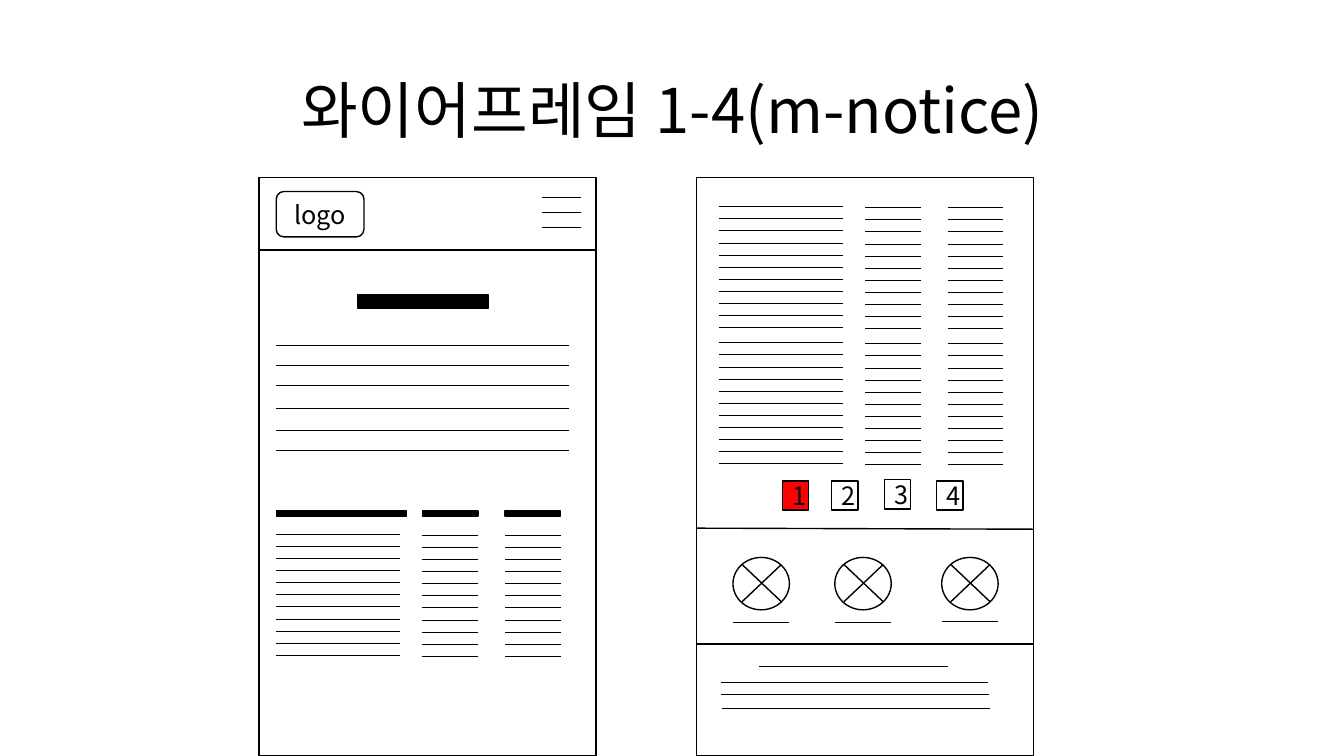
from lxml.etree import SubElement
from pptx import Presentation
from pptx.dml.color import RGBColor
from pptx.enum.shapes import MSO_CONNECTOR as CONN, MSO_SHAPE as SHAPE
from pptx.enum.text import MSO_ANCHOR as ANCHOR, PP_ALIGN as ALIGN
from pptx.oxml.ns import qn
from pptx.util import Inches, Pt

# Content, lengths in inches
FONT = "Noto Sans CJK KR"
BLACK, WHITE, RED = "000000", "FFFFFF", "FF0000"
TITLE = "와이어프레임 1-4(m-notice)"
TOP, WIDE, HIGH = 1.76, 3.34, 5.74
LEFT, RIGHT = 2.57, 6.91
MENU = [1.96, 2.11, 2.26]
INTRO = [3.43, 3.62, 3.82, 4.05, 4.27, 4.47]
BARS = [(3.55, 2.92, 1.29, 0.14), (2.74, 5.07, 1.29, 0.05),
        (4.19, 5.07, 0.55, 0.05), (5.01, 5.07, 0.55, 0.05)]
# Table columns: offset from the table's left, width, drop
COLS = [(0, 1.23, 0), (1.45, 0.55, 0.01), (2.27, 0.55, 0.01)]
TABLES = [(2.74, 5.3), (7.13, 2.05), (7.13, 3.4)]
ROWS, STEP = 11, 0.12
PAGES = [("1", 7.76, 4.77, RED), ("2", 8.25, 4.77, WHITE),
         ("3", 8.77, 4.76, WHITE), ("4", 9.29, 4.77, WHITE)]
ICONS = [(7.27, 6.17), (8.28, 6.17), (9.34, 6.16)]  # left, caption line
FOOT = [(7.53, 9.4, 6.61), (7.15, 9.8, 6.77),
        (7.15, 9.81, 6.89), (7.16, 9.82, 7.03)]

deck = Presentation()
deck.slide_width, deck.slide_height = Inches(13.33), Inches(7.5)
slide = deck.slides.add_slide(deck.slide_layouts[5])


def paint(code):
    return RGBColor.from_string(code)


def write(shape, text, size):
    frame = shape.text_frame
    frame.text = text
    frame.word_wrap = True
    frame.vertical_anchor = ANCHOR.MIDDLE
    para = frame.paragraphs[0]
    para.alignment = ALIGN.CENTER
    font = para.font
    font.name, font.size = FONT, Pt(size)
    font.color.rgb = paint(BLACK)
    # East Asian typeface for the Korean letters
    props = para._p.pPr.find(qn("a:defRPr"))
    SubElement(props, qn("a:ea")).set("typeface", FONT)
    return para


def box(kind, x, y, w, h, fill=WHITE, text=""):
    shape = slide.shapes.add_shape(kind, *map(Inches, (x, y, w, h)))
    shape.shadow.inherit = False
    shape.fill.solid()
    shape.fill.fore_color.rgb = paint(fill)
    shape.line.color.rgb = paint(BLACK)
    shape.line.width = Pt(1)
    if text:
        write(shape, text, 18)


def rule(x1, y1, x2, y2, width=0.5):
    line = slide.shapes.add_connector(
        CONN.STRAIGHT, *map(Inches, (x1, y1, x2, y2)))
    line.line.color.rgb = paint(BLACK)
    line.line.width = Pt(width)
    SubElement(line._element.spPr, qn("a:effectLst"))


# Title
title = slide.shapes.title
title.left, title.top = Inches(0.92), Inches(0.4)
title.width, title.height = Inches(11.5), Inches(1.45)
write(title, TITLE, 44).line_spacing = 0.9

# Screens and their dividers
for x in (LEFT, RIGHT):
    box(SHAPE.RECTANGLE, x, TOP, WIDE, HIGH)
for x, y1, y2 in [(LEFT, 2.48, 2.48), (RIGHT, 5.24, 5.25), (RIGHT, 6.39, 6.39)]:
    rule(x, y1, x + WIDE, y2, 1)

# Header, heading bars and intro lines
box(SHAPE.ROUNDED_RECTANGLE, 2.74, 1.9, 0.87, 0.45, text="logo")
for y in MENU:
    rule(5.38, y, 5.76, y, 1)
for bar in BARS:
    box(SHAPE.RECTANGLE, *bar, fill=BLACK)
for y in INTRO:
    rule(2.74, y, 5.64, y)

# Notice tables
for left, top in TABLES:
    for off, wide, drop in COLS:
        for row in range(ROWS):
            y = top + drop + row * STEP
            rule(left + off, y, left + off + wide, y)

# Page buttons
for text, x, y, fill in PAGES:
    box(SHAPE.RECTANGLE, x, y, 0.26, 0.29, fill, text)

# Crossed icons with caption lines
for x, y in ICONS:
    box(SHAPE.OVAL, x, 5.53, 0.56, 0.52)
    rule(x + 0.09, 5.6, x + 0.48, 5.97, 1)
    rule(x + 0.48, 5.6, x + 0.09, 5.97, 1)
    rule(x, y, x + 0.56, y)

# Footer lines
for x1, x2, y in FOOT:
    rule(x1, y, x2, y)

deck.save("out.pptx")
